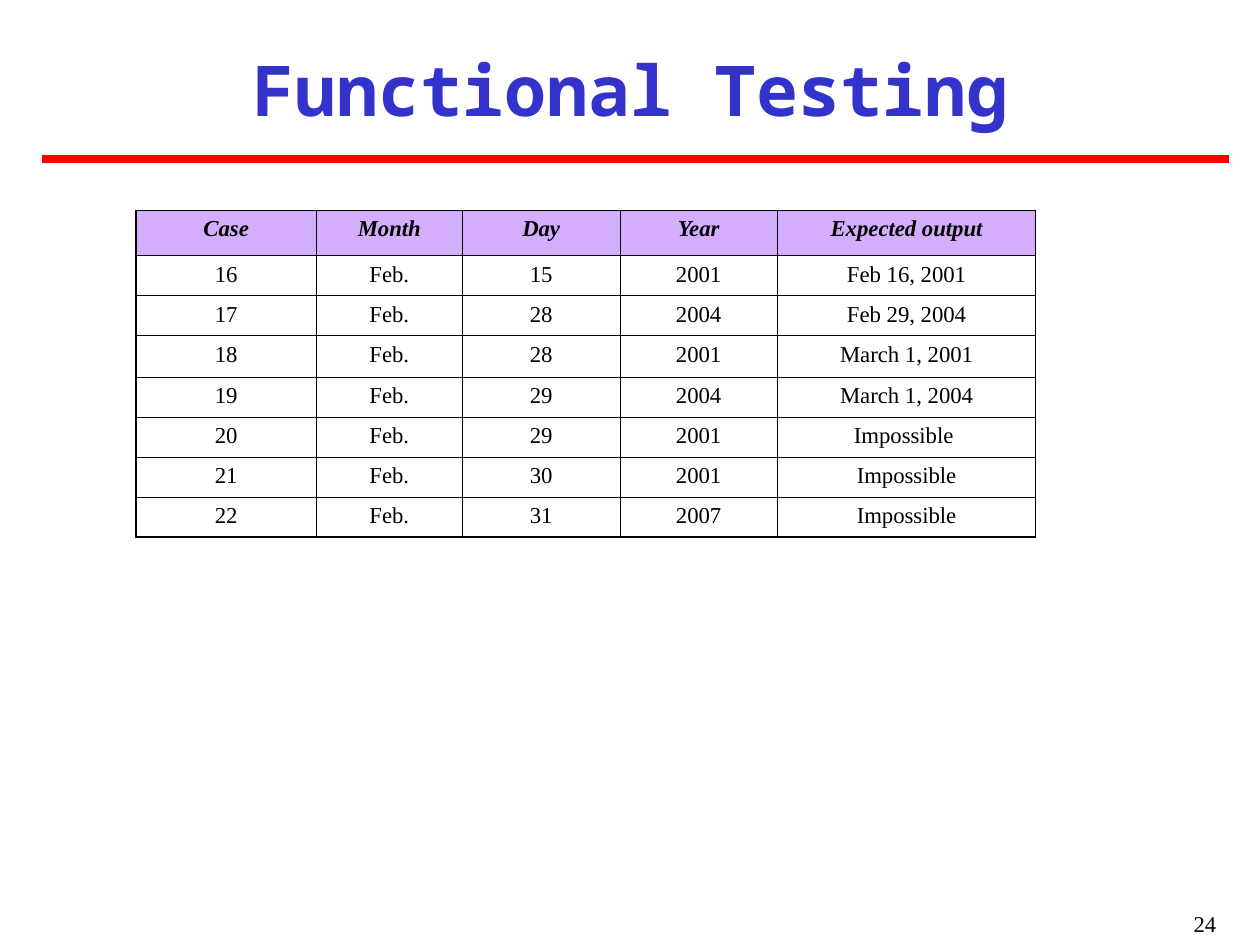
from dataclasses import dataclass

from lxml.etree import SubElement
from pptx import Presentation
from pptx.dml.color import RGBColor
from pptx.enum.shapes import MSO_CONNECTOR
from pptx.enum.text import MSO_ANCHOR, PP_ALIGN
from pptx.oxml.ns import qn
from pptx.util import Inches, Pt

BLACK = RGBColor(0x00, 0x00, 0x00)
BLUE = RGBColor(0x33, 0x33, 0xCC)
RED = RGBColor(0xFF, 0x00, 0x00)
LILAC = RGBColor(0xD5, 0xAD, 0xFD)
SERIF = "Times New Roman"
MONO = "Noto Sans Mono"
THIN, THICK = Pt(0.45), Pt(1.08)

HEADERS = ("Case", "Month", "Day", "Year", "Expected output")
COL_WIDTHS = (1.43, 1.16, 1.25, 1.25, 2.05)
ROW_HEIGHTS = (0.36, 0.31, 0.31, 0.33, 0.31, 0.31, 0.31, 0.31)


@dataclass(frozen=True)
class TestCase:
    number: int
    day: int
    year: int
    expected: str

    def texts(self) -> tuple:
        return str(self.number), "Feb.", str(self.day), str(self.year), self.expected


CASES = (
    TestCase(16, 15, 2001, "Feb 16, 2001"),
    TestCase(17, 28, 2004, "Feb 29, 2004"),
    TestCase(18, 28, 2001, "March 1, 2001"),
    TestCase(19, 29, 2004, "March 1, 2004"),
    TestCase(20, 29, 2001, "Impossible "),
    TestCase(21, 30, 2001, "Impossible"),
    TestCase(22, 31, 2007, "Impossible"),
)


def write(tf, text: str, size: float, align, font: str = SERIF,
          color: RGBColor = BLACK, bold: bool = False, italic: bool = False) -> None:
    tf.text = text
    p = tf.paragraphs[0]
    p.alignment = align
    f = p.runs[0].font
    f.name, f.size, f.bold, f.italic = font, Pt(size), bold, italic
    f.color.rgb = color


def add_title(slide, text: str) -> None:
    sp = slide.shapes.title
    sp.left, sp.top = Inches(0.25), Inches(0.29)
    sp.width, sp.height = Inches(9.5), Inches(0.83)
    tf = sp.text_frame
    tf.word_wrap = True
    tf.vertical_anchor = MSO_ANCHOR.MIDDLE
    tf.margin_left = tf.margin_right = Inches(0.02)
    write(tf, text, 40, PP_ALIGN.CENTER, MONO, BLUE, bold=True)


def add_rule(slide) -> None:
    y = Inches(1.26)
    line = slide.shapes.add_connector(
        MSO_CONNECTOR.STRAIGHT, Inches(0.33), y, Inches(9.75), y)
    line.line.color.rgb = RED
    line.line.width = Pt(4.5)
    SubElement(line._element.spPr, qn("a:effectLst"))


def set_border(cell, side: str, width: int) -> None:
    ln = SubElement(cell._tc.get_or_add_tcPr(), qn(f"a:{side}"), w=str(width))
    fill = SubElement(ln, qn("a:solidFill"))
    SubElement(fill, qn("a:srgbClr"), val=str(BLACK))


def add_case_table(slide) -> None:
    rows = (HEADERS, *(case.texts() for case in CASES))
    last_row, last_col = len(rows) - 1, len(HEADERS) - 1
    table = slide.shapes.add_table(
        len(rows), len(HEADERS), Inches(1.08), Inches(1.67),
        Inches(sum(COL_WIDTHS)), Inches(sum(ROW_HEIGHTS))).table
    table.first_row = table.horz_banding = False
    for col, width in zip(table.columns, COL_WIDTHS):
        col.width = Inches(width)
    for row, height in zip(table.rows, ROW_HEIGHTS):
        row.height = Inches(height)
    for r, texts in enumerate(rows):
        for c, text in enumerate(texts):
            cell = table.cell(r, c)
            header = r == 0
            write(cell.text_frame, text, 13, PP_ALIGN.CENTER, bold=header, italic=header)
            outer = {"lnL": c == 0, "lnR": c == last_col,
                     "lnT": header, "lnB": r == last_row}
            for side, is_outer in outer.items():
                set_border(cell, side, THICK if is_outer else THIN)
            if header:
                cell.fill.solid()
                cell.fill.fore_color.rgb = LILAC
            else:
                cell.fill.background()


def add_page_number(slide, text: str) -> None:
    tf = slide.shapes.add_textbox(
        Inches(7.67), Inches(7.17), Inches(2.08), Inches(0.33)).text_frame
    tf.word_wrap = True
    write(tf, text, 12.9, PP_ALIGN.RIGHT)


def main() -> None:
    prs = Presentation()
    prs.slide_width, prs.slide_height = Inches(10), Inches(7.5)
    s = prs.slides.add_slide(prs.slide_layouts[5])
    add_page_number(s, "24")
    add_rule(s)
    add_case_table(s)
    add_title(s, "Functional Testing")
    prs.save("out.pptx")


if __name__ == "__main__":
    main()
